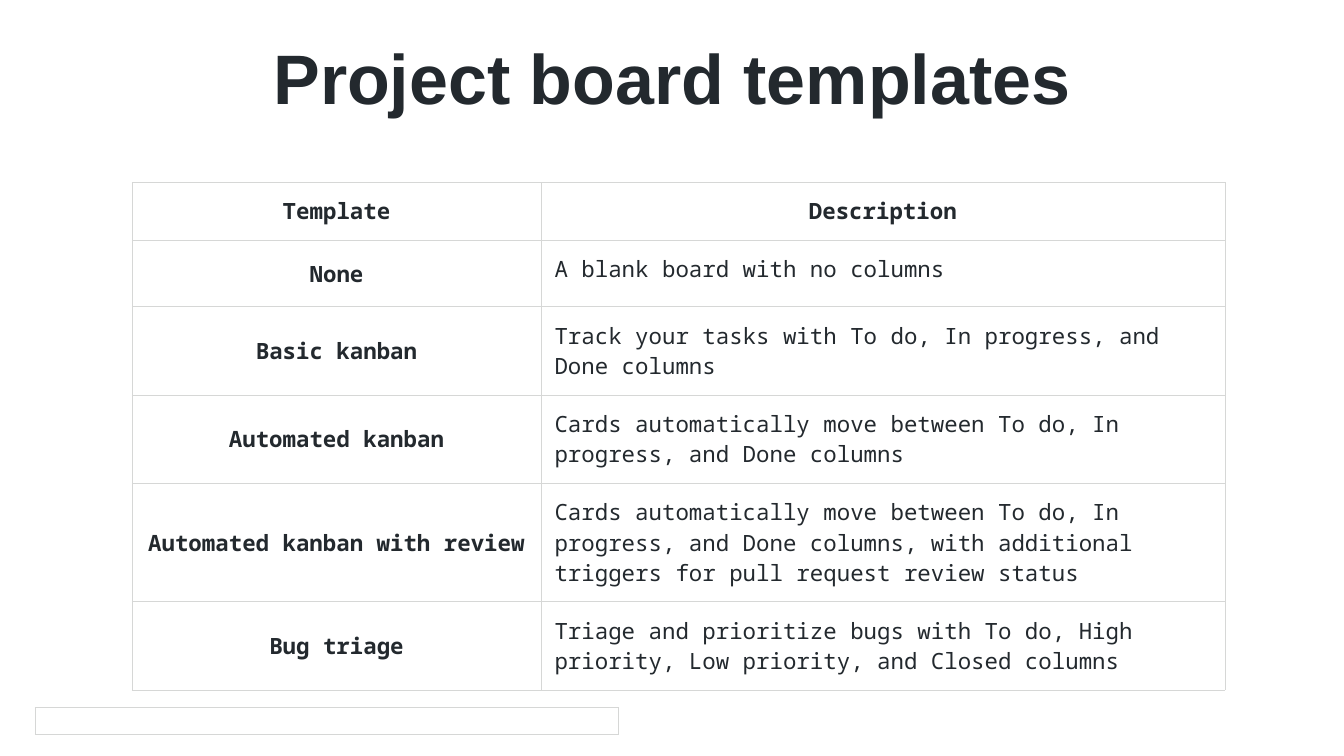
from typing import NamedTuple

from lxml import etree
from pptx import Presentation
from pptx.dml.color import RGBColor
from pptx.enum import text as t
from pptx.oxml.ns import qn
from pptx.util import Pt

INK = "23292E"
RULE = "D6D7D6"
MONO = "Noto Sans Mono"


class Grid(NamedTuple):
    left: float
    top: float
    cols: list[float]
    rows: list[float]


class Entry(NamedTuple):
    name: str
    about: str
    height: float


HEAD = Entry("Template", "Description", 80.64)
ENTRIES = [
    Entry("None", "A blank board with no columns", 95.04),
    Entry("Basic kanban",
          "Track your tasks with To do, In progress, and Done columns", 95.04),
    Entry("Automated kanban",
          "Cards automatically move between To do, In progress, and Done columns",
          120.96),
    Entry("Automated kanban with review",
          "Cards automatically move between To do, In progress, and Done columns, "
          "with additional triggers for pull request review status", 161.28),
    Entry("Bug triage",
          "Triage and prioritize bugs with To do, High priority, Low priority, "
          "and Closed columns", 120.96),
]


def paint(font, color: str) -> None:
    font.color.rgb = RGBColor.from_string(color)


def style(para, face: str, size: float, bold: bool, center: bool) -> None:
    para.alignment = t.PP_ALIGN.CENTER if center else t.PP_ALIGN.LEFT
    for run in para.runs:
        run.font.name, run.font.size, run.font.bold = face, Pt(size), bold
        paint(run.font, INK)


def edge(cell, color: str, width: float = 1) -> None:
    """Give a cell a thin line on all four sides."""
    props = cell._tc.get_or_add_tcPr()
    for spot, side in enumerate(("lnL", "lnR", "lnT", "lnB")):
        line = etree.Element(qn(f"a:{side}"), w=str(Pt(width)))
        fill = etree.SubElement(line, qn("a:solidFill"))
        etree.SubElement(fill, qn("a:srgbClr"), val=color)
        props.insert(spot, line)


def add_grid(slide, grid: Grid):
    """Add a plain ruled table without banding."""
    table = slide.shapes.add_table(
        len(grid.rows), len(grid.cols), Pt(grid.left), Pt(grid.top),
        Pt(sum(grid.cols)), Pt(sum(grid.rows))).table
    table.first_row = table.horz_banding = False
    for col, width in zip(table.columns, grid.cols):
        col.width = Pt(width)
    for row, height in zip(table.rows, grid.rows):
        row.height = Pt(height)
    for cell in table.iter_cells():
        cell.fill.background()
        edge(cell, RULE)
    return table


def fill_cell(cell, words: str, bold: bool, center: bool, middle: bool) -> None:
    cell.text_frame.text = words
    cell.margin_left = cell.margin_right = Pt(19.44)
    cell.margin_top = cell.margin_bottom = Pt(19.44)
    cell.vertical_anchor = t.MSO_ANCHOR.MIDDLE if middle else t.MSO_ANCHOR.TOP
    style(cell.text_frame.paragraphs[0], MONO, 32, bold, center)


def main() -> None:
    deck = Presentation()
    deck.slide_width, deck.slide_height = Pt(1920), Pt(1080)
    slide = deck.slides.add_slide(deck.slide_layouts[5])
    for holder in list(slide.placeholders):
        if holder != slide.shapes.title:
            holder._element.getparent().remove(holder._element)

    # Footer frame
    add_grid(slide, Grid(50.4, 1011, [833], [38]))

    # Title
    title = slide.shapes.title
    title.left, title.top = Pt(0), Pt(35.3)
    title.width, title.height = Pt(1920), Pt(188.6)
    frame = title.text_frame
    frame.text = "Project board templates"
    frame.word_wrap = True
    frame.auto_size = t.MSO_AUTO_SIZE.NONE
    frame.vertical_anchor = t.MSO_ANCHOR.TOP
    frame.margin_left = frame.margin_right = frame.margin_bottom = Pt(4)
    frame.margin_top = Pt(14)
    style(frame.paragraphs[0], "Arial", 100, True, True)

    # Template table
    lines = [HEAD, *ENTRIES]
    table = add_grid(slide, Grid(188.8, 260.6, [584, 977],
                                 [line.height for line in lines]))
    for row, line in enumerate(lines):
        head = row == 0
        fill_cell(table.cell(row, 0), line.name, True, True, not head)
        fill_cell(table.cell(row, 1), line.about, head, head, False)

    deck.save("out.pptx")


if __name__ == "__main__":
    main()
